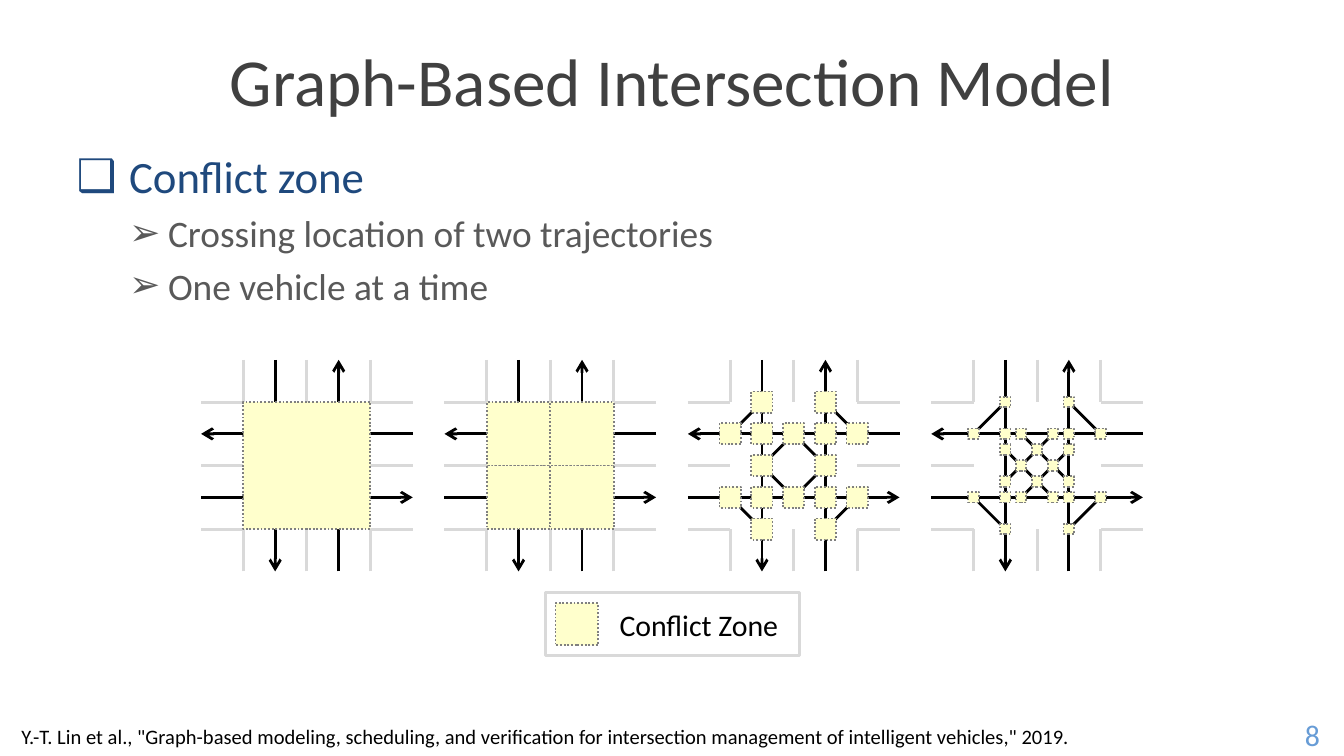
import itertools

import lxml.etree
import pptx
import pptx.dml.color
import pptx.enum.dml
import pptx.enum.shapes
import pptx.enum.text
import pptx.oxml
import pptx.oxml.ns
import pptx.util
from pptx.util import Inches

COLORS = {name: pptx.dml.color.RGBColor.from_string(code) for name, code in {
    "title": "404040", "topic": "1F497D", "detail": "595959", "number": "679CD6",
    "road": "D9D9D9", "black": "000000", "zone": "FFFFCC", "zone_edge": "808080",
}.items()}
MM = 25.4
ARM, HALF, LANE = 20, 12, 6
SIGNS = list(itertools.product((-1, 1), repeat=2))


def draw_line(group, center, start, end, color, arrow=False):
    points = [Inches((c + offset) / MM) for point in (start, end) for c, offset in zip(center, point)]
    line = group.shapes.add_connector(pptx.enum.shapes.MSO_CONNECTOR.STRAIGHT, *points)
    line.line.color.rgb = COLORS[color]
    line.line.width = pptx.util.Pt(1.5)
    if arrow:
        tail = lxml.etree.SubElement(line.line._get_or_add_ln(), pptx.oxml.ns.qn("a:tailEnd"))
        tail.set("type", "arrow")
    lxml.etree.SubElement(line._element.spPr, pptx.oxml.ns.qn("a:effectLst"))
    return line


def draw_zone(group, x, y, size):
    zone = group.shapes.add_shape(
        pptx.enum.shapes.MSO_SHAPE.RECTANGLE,
        Inches((x - size / 2) / MM), Inches((y - size / 2) / MM),
        Inches(size / MM), Inches(size / MM))
    zone.shadow.inherit = False
    zone.fill.solid()
    zone.fill.fore_color.rgb = COLORS["zone"]
    zone.line.color.rgb = COLORS["zone_edge"]
    zone.line.width = pptx.util.Pt(1)
    zone.line.dash_style = pptx.enum.dml.MSO_LINE.ROUND_DOT
    return zone


presentation = pptx.Presentation()
presentation.slide_width = Inches(10)
presentation.slide_height = Inches(10 * 9 / 16)
slide = presentation.slides.add_slide(presentation.slide_layouts[1])

title = slide.shapes.title
title.left, title.top, title.width, title.height = map(Inches, (0.47, 0.24, 9.06, 0.71))
title.text_frame.text = "Graph-Based Intersection Model"
title.text_frame.vertical_anchor = pptx.enum.text.MSO_ANCHOR.MIDDLE
heading = title.text_frame.paragraphs[0]
heading.alignment = pptx.enum.text.PP_ALIGN.CENTER
heading.font.size = pptx.util.Pt(36)
heading.font.name = "Calibri"
heading.font.color.rgb = COLORS["title"]

points = slide.placeholders[1]
points.left, points.top, points.width, points.height = map(Inches, (0.47, 1.06, 9.06, 4.25))
points.text_frame.auto_size = pptx.enum.text.MSO_AUTO_SIZE.NONE
points.text_frame.text = "Conflict zone\nCrossing location of two trajectories\nOne vehicle at a time"
for index, point in enumerate(points.text_frame.paragraphs):
    level = min(index, 1)
    bullet, size, color, margin, hanging = (
        ("❑", 24, "topic", 0.39, 0.39), ("➢", 20, "detail", 0.68, 0.29))[level]
    point.level = level
    point.space_before = pptx.util.Pt(4 * level)
    properties = point._p.get_or_add_pPr()
    properties.set("marL", str(Inches(margin)))
    properties.set("indent", str(-Inches(hanging)))
    lxml.etree.SubElement(properties, pptx.oxml.ns.qn("a:buChar")).set("char", bullet)
    point.font.size = pptx.util.Pt(size)
    point.font.name = "Calibri"
    point.font.color.rgb = COLORS[color]

outer_turn = ((6, 12), (12, 6))
panels = [
    (24, [(0, 0)], []),
    (12, [(6, 6)], []),
    (4, [(6, 12), (12, 6), (6, 6), (0, 6), (6, 0)], [outer_turn, ((6, 0), (0, 6))]),
    (2, [(6, 12), (12, 6), (6, 6), (3, 6), (6, 3), (0, 3), (3, 0)],
     [outer_turn, ((6, 3), (-3, -6))]),
]
sides = [(0, -1), (-1, 0), (0, 1), (1, 0)]
for column, (zone_size, zones, turns) in enumerate(panels):
    intersection = slide.shapes.add_group_shape()
    center = (58 + 46 * column, 88)
    medians = []
    for dx, dy in sides:
        for lane in (-HALF, 0, HALF):
            start, end = [(dx * reach + abs(dy) * lane, dy * reach + abs(dx) * lane)
                          for reach in (ARM, HALF)]
            road = draw_line(intersection, center, start, end, "road")
            if lane == 0:
                medians.append(road)
    for sign in (1, -1):
        draw_line(intersection, center, (sign * LANE, sign * ARM), (sign * LANE, -sign * ARM), "black", True)
        draw_line(intersection, center, (-sign * ARM, sign * LANE), (sign * ARM, sign * LANE), "black", True)
    for (start, end), (sx, sy) in itertools.product(turns, SIGNS):
        draw_line(intersection, center, (sx * start[0], sy * start[1]), (sx * end[0], sy * end[1]), "black")
    for x, y in sorted({(sx * x, sy * y) for x, y in zones for sx, sy in SIGNS}):
        zone = draw_zone(intersection, center[0] + x, center[1] + y, zone_size)
    if zone_size == 2 * HALF:
        for site, median in enumerate(medians):
            median.end_connect(zone, site)

legend = slide.shapes.add_group_shape()
draw_zone(legend, 109, 118, 8)
legend_label = legend.shapes.add_textbox(*map(Inches, (4.53, 4.49, 1.34, 0.31)))
legend_frame = legend.shapes.add_shape(
    pptx.enum.shapes.MSO_SHAPE.RECTANGLE, *map(Inches, (4.06, 4.41, 1.89, 0.47)))
legend_frame.shadow.inherit = False
legend_frame.fill.background()
legend_frame.line.color.rgb = COLORS["road"]
legend_frame.line.width = pptx.util.Pt(1.5)

page_number = slide.shapes.add_textbox(*map(Inches, (9.53, 5.31, 0.47, 0.31)))
citation = slide.shapes.add_textbox(*map(Inches, (0.16, 5.38, 8.9, 0.19)))
centered, left = pptx.enum.text.PP_ALIGN.CENTER, pptx.enum.text.PP_ALIGN.LEFT
for box, text, size, color, alignment, inset in (
    (legend_label, "Conflict Zone", 16, "black", centered, 0),
    (page_number, "8", 16, "number", centered, 0.05),
    (citation, 'Y.-T. Lin et al., "Graph-based modeling, scheduling, and verification for '
     'intersection management of intelligent vehicles," 2019.', 11, "black", left, 0),
):
    frame = box.text_frame
    frame.word_wrap = True
    frame.vertical_anchor = pptx.enum.text.MSO_ANCHOR.MIDDLE
    frame.margin_left = frame.margin_right = Inches(2 * inset)
    frame.margin_top = frame.margin_bottom = Inches(inset)
    frame.text = text
    line = frame.paragraphs[0]
    line.alignment = alignment
    line.font.size = pptx.util.Pt(size)
    line.font.name = "Calibri"
    line.font.color.rgb = COLORS[color]
citation.text_frame.auto_size = pptx.enum.text.MSO_AUTO_SIZE.SHAPE_TO_FIT_TEXT

presentation.save("out.pptx")
